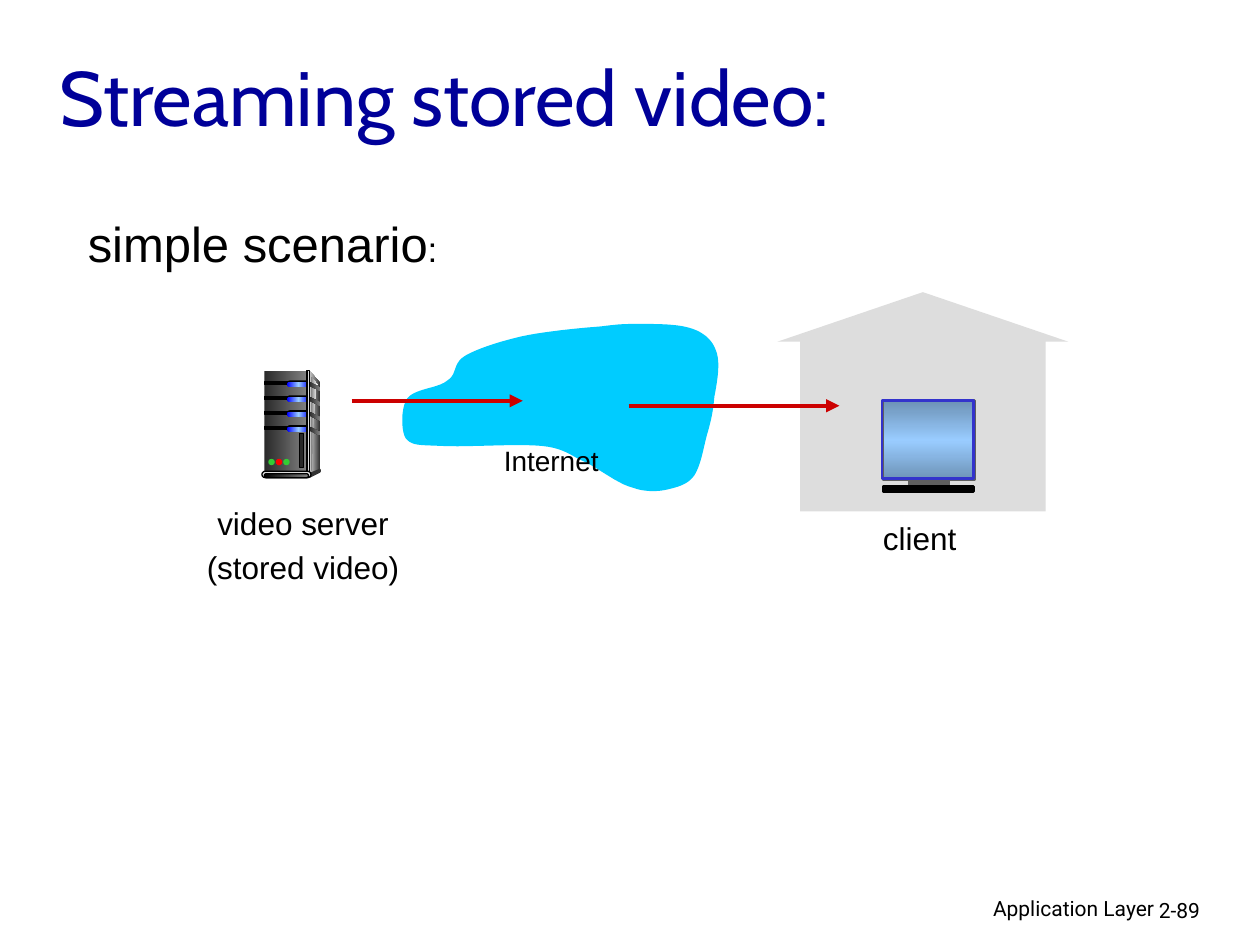
from dataclasses import dataclass

from lxml.etree import SubElement
from pptx import Presentation
from pptx.dml.color import RGBColor
from pptx.enum.shapes import MSO_CONNECTOR, MSO_SHAPE
from pptx.enum.text import MSO_ANCHOR, MSO_AUTO_SIZE, PP_ALIGN
from pptx.oxml.ns import qn
from pptx.util import Cm, Pt


@dataclass(frozen=True)
class Theme:
    title: str = "000099"
    text: str = "000000"
    house: str = "DDDDDD"
    cloud: str = "00CCFF"
    arrow: str = "CC0000"
    frame: str = "3333CC"
    stand: str = "5F5F5F"
    black: str = "000000"
    dark: str = "333333"
    slot: str = "292929"
    green: str = "33CC33"
    red: str = "FF0000"
    screen: tuple = ("6D92B6", "99CCFF", "6D92B6")
    front: tuple = ("292929", "808080")
    side: tuple = ("DDDDDD", "333333")
    shine: tuple = ("808080", "F8F8F8")
    drive: tuple = ("0000FF", "99CCFF", "0000FF")
    edge: tuple = ("333333", "DDDDDD", "333333")
    plinth: tuple = ("000000", "808080")
    title_font: str = "Cabin"
    body_font: str = "Arial"
    footer_font: str = "Roboto"
    title_size: int = 44
    lead_size: int = 28
    colon_size: int = 20
    label_size: int = 18
    cloud_size: int = 16
    footer_size: int = 12


THEME = Theme()

# Cloud outline: a start point, then Bezier segments of two handles and an end
CLOUD_START = (4.04, 0.05)
CLOUD_CURVES = [
    ((3.63, 0.08), (2.9, 0.15), (2.44, 0.25)),
    ((1.96, 0.36), (1.52, 0.51), (1.3, 0.64)),
    ((1.04, 0.79), (1.14, 1.02), (0.94, 1.14)),
    ((0.76, 1.3), (0.28, 1.3), (0.13, 1.5)),
    ((0, 1.68), (0, 2.16), (0.1, 2.31)),
    ((0.23, 2.46), (0.38, 2.44), (0.81, 2.46)),
    ((1.27, 2.49), (2.36, 2.41), (2.84, 2.46)),
    ((3.33, 2.51), (3.43, 2.67), (3.73, 2.79)),
    ((4.04, 2.95), (4.39, 3.23), (4.67, 3.3)),
    ((4.95, 3.4), (5.21, 3.38), (5.41, 3.33)),
    ((5.61, 3.28), (5.79, 3.23), (5.92, 3.05)),
    ((6.05, 2.84), (6.1, 2.51), (6.17, 2.24)),
    ((6.25, 1.98), (6.3, 1.75), (6.32, 1.47)),
    ((6.38, 1.17), (6.45, 0.76), (6.35, 0.53)),
    ((6.27, 0.3), (6.07, 0.15), (5.82, 0.08)),
    ((5.56, 0), (5.13, 0), (4.83, 0)),
    ((4.52, 0), (4.42, 0), CLOUD_START),
]


def paint(shape, fill=None, line=None, weight=0.75, angle=0):
    """Fill with one colour, a tuple of gradient colours, or nothing."""
    shape.shadow.inherit = False
    if fill is None:
        shape.fill.background()
    elif isinstance(fill, tuple):
        shape.fill.gradient()
        shape.fill.gradient_angle = angle
        stops = next(shape._element.spPr.iter(qn("a:gsLst")))
        stops.clear()
        for index, color in enumerate(fill):
            position = 100000 * index // (len(fill) - 1)
            stop = SubElement(stops, qn("a:gs"), pos=str(position))
            SubElement(stop, qn("a:srgbClr"), val=color)
    else:
        shape.fill.solid()
        shape.fill.fore_color.rgb = RGBColor.from_string(fill)
    if line is None:
        shape.line.fill.background()
    else:
        shape.line.color.rgb = RGBColor.from_string(line)
        shape.line.width = Pt(weight)


def add_part(page, origin, kind, left, top, width, height, **style):
    shape = page.shapes.add_shape(kind, Cm(origin[0] + left), Cm(origin[1] + top),
                                  Cm(width), Cm(height))
    if kind == MSO_SHAPE.ROUNDED_RECTANGLE:
        shape.adjustments[0] = 0.5
    paint(shape, **style)


def add_outline(page, origin, points, **style):
    points = [(Cm(origin[0] + x), Cm(origin[1] + y)) for x, y in points]
    builder = page.shapes.build_freeform(*points[0])
    builder.add_line_segments(points[1:], close=True)
    paint(builder.convert_to_shape(), **style)


def trace_curves(start, curves, steps=10):
    points = [start]
    for first, second, end in curves:
        begin = points[-1]
        for step in range(1, steps + 1):
            t = step / steps
            weights = ((1 - t) ** 3, 3 * t * (1 - t) ** 2, 3 * t * t * (1 - t), t ** 3)
            corners = (begin, first, second, end)
            points.append(tuple(sum(w * c[axis] for w, c in zip(weights, corners))
                                for axis in (0, 1)))
    return points


def add_span(para, text, size, font=THEME.body_font, color=THEME.text):
    span = para.add_run()
    span.text = text
    span.font.size = Pt(size)
    span.font.name = font
    span.font.color.rgb = RGBColor.from_string(color)


def add_label(page, bounds, text, size, font=THEME.body_font,
              align=PP_ALIGN.LEFT, wrap=False):
    box = page.shapes.add_textbox(*map(Cm, bounds))
    frame = box.text_frame
    frame.word_wrap = wrap
    for index, row in enumerate(text.split("\n")):
        para = frame.add_paragraph() if index else frame.paragraphs[0]
        para.alignment = align
        if index:
            para.space_before = Pt(4)
        add_span(para, row, size, font)
    return box


def add_arrow(page, left, right, height):
    line = page.shapes.add_connector(MSO_CONNECTOR.STRAIGHT, Cm(left), Cm(height),
                                     Cm(right), Cm(height))
    line.line.color.rgb = RGBColor.from_string(THEME.arrow)
    line.line.width = Pt(2.5)
    SubElement(line.line._get_or_add_ln(), qn("a:tailEnd"), type="triangle")
    SubElement(line._element.spPr, qn("a:effectLst"))


def set_title(page, bounds, text):
    title = page.shapes.title
    title.left, title.top, title.width, title.height = map(Cm, bounds)
    frame = title.text_frame
    frame.auto_size = MSO_AUTO_SIZE.NONE
    frame.vertical_anchor = MSO_ANCHOR.MIDDLE
    para = frame.paragraphs[0]
    para.alignment = PP_ALIGN.LEFT
    add_span(para, text, THEME.title_size, THEME.title_font, THEME.title)


def draw_house(page, origin):
    add_part(page, origin, MSO_SHAPE.ISOSCELES_TRIANGLE, 0, 0, 5.87, 1, fill=THEME.house)
    add_part(page, origin, MSO_SHAPE.RECTANGLE, 0.46, 0.99, 4.95, 3.43, fill=THEME.house)


def draw_monitor(page, origin):
    for bounds, style in (
        ((0.02, 0, 1.85, 1.6), dict(fill=THEME.screen, line=THEME.stand, angle=90)),
        ((0.56, 1.6, 0.79, 0.1), dict(fill=THEME.stand, line=THEME.stand)),
        ((0.02, 1.73, 1.83, 0.1), dict(fill=THEME.black, line=THEME.black)),
        ((0, 0, 1.85, 1.57), dict(line=THEME.frame)),
    ):
        add_part(page, origin, MSO_SHAPE.RECTANGLE, *bounds, weight=1.5, **style)


def draw_server(page, origin):
    rect, pill, oval = MSO_SHAPE.RECTANGLE, MSO_SHAPE.ROUNDED_RECTANGLE, MSO_SHAPE.OVAL
    # Case
    add_outline(page, origin, [(0.96, 0), (1.17, 0.25), (1.17, 1.98), (0.94, 2.08)],
                fill=THEME.side)
    add_part(page, origin, rect, 0.05, 0, 0.86, 2.08, fill=THEME.front)
    shine = trace_curves((0.99, 0.13), [((0.99, 0.13), (1.02, 0.15), (1.12, 0.28)),
                                       ((0.99, 1.07), (1.02, 2.06), (0.99, 2.03))])
    add_outline(page, origin, shine, fill=THEME.shine)
    # Drive bays, each with a vent on the side
    for bay in range(4):
        top = 0.23 + 0.3 * bay
        add_part(page, origin, rect, 0.05, top, 0.48, 0.05,
                 fill=THEME.black, line=THEME.black)
        add_part(page, origin, pill, 0.5, top - 0.03, 0.48, 0.13, fill=THEME.black)
        add_part(page, origin, pill, 0.51, top, 0.46, 0.1, fill=THEME.drive)
        add_outline(page, origin, [(0.96, top), (1.17, top + 0.11), (1.17, top + 0.18),
                                   (0.96, top + 0.08)], fill=THEME.front)
    add_part(page, origin, rect, 0.91, 0, 0.05, 2.08, fill=THEME.edge, line=THEME.black)
    # Foot
    add_part(page, origin, oval, 1.14, 1.98, 0.05, 0.08, fill=THEME.dark)
    add_outline(page, origin, [(0.97, 2.06), (0.97, 2.16), (1.17, 2.06), (1.17, 1.98)],
                fill=THEME.dark)
    add_part(page, origin, pill, 0, 2.03, 0.99, 0.13, fill=THEME.house, line=THEME.black)
    add_part(page, origin, pill, 0.05, 2.08, 0.89, 0.08,
             fill=THEME.plinth, line=THEME.black)
    # Lights and slot
    for index, color in enumerate((THEME.green, THEME.red, THEME.green)):
        add_part(page, origin, oval, 0.13 + 0.15 * index, 1.78, 0.13, 0.13, fill=color)
    add_part(page, origin, rect, 0.76, 1.27, 0.08, 0.69, fill=THEME.slot, line=THEME.black)


def draw_scenario(page):
    draw_house(page, (15.67, 5.89))
    draw_server(page, (5.28, 7.47))
    draw_monitor(page, (17.78, 8.08))
    add_outline(page, (8.08, 6.53), trace_curves(CLOUD_START, CLOUD_CURVES),
                fill=THEME.cloud)
    add_arrow(page, 7.09, 10.54, 8.08)
    add_arrow(page, 12.67, 16.92, 8.18)
    add_label(page, (3.81, 10.03, 4.6, 1.96), "video server\n(stored video)",
              THEME.label_size, align=PP_ALIGN.CENTER)
    add_label(page, (17.55, 10.34, 2.13, 1.02), "client", THEME.label_size)
    add_label(page, (9.91, 8.81, 2.57, 0.94), "Internet", THEME.cloud_size)


def draw_footer(page):
    add_label(page, (19.23, 17.93, 4.29, 0.84), "Application Layer", THEME.footer_size,
              THEME.footer_font, align=PP_ALIGN.RIGHT, wrap=True)
    add_label(page, (23.11, 17.96, 1.88, 0.76), "2-89", THEME.footer_size,
              THEME.footer_font, wrap=True)


def main():
    deck = Presentation()
    deck.slide_width, deck.slide_height = Cm(25.4), Cm(19.05)
    page = deck.slides.add_slide(deck.slide_layouts[5])
    set_title(page, (0.94, 0.33, 21.59, 3.18), "Streaming stored video:")
    lead = add_label(page, (1.52, 4.17, 7.65, 1.45), "simple scenario", THEME.lead_size)
    add_span(lead.text_frame.paragraphs[0], ":", THEME.colon_size)
    draw_scenario(page)
    draw_footer(page)
    deck.save("out.pptx")


if __name__ == "__main__":
    main()
